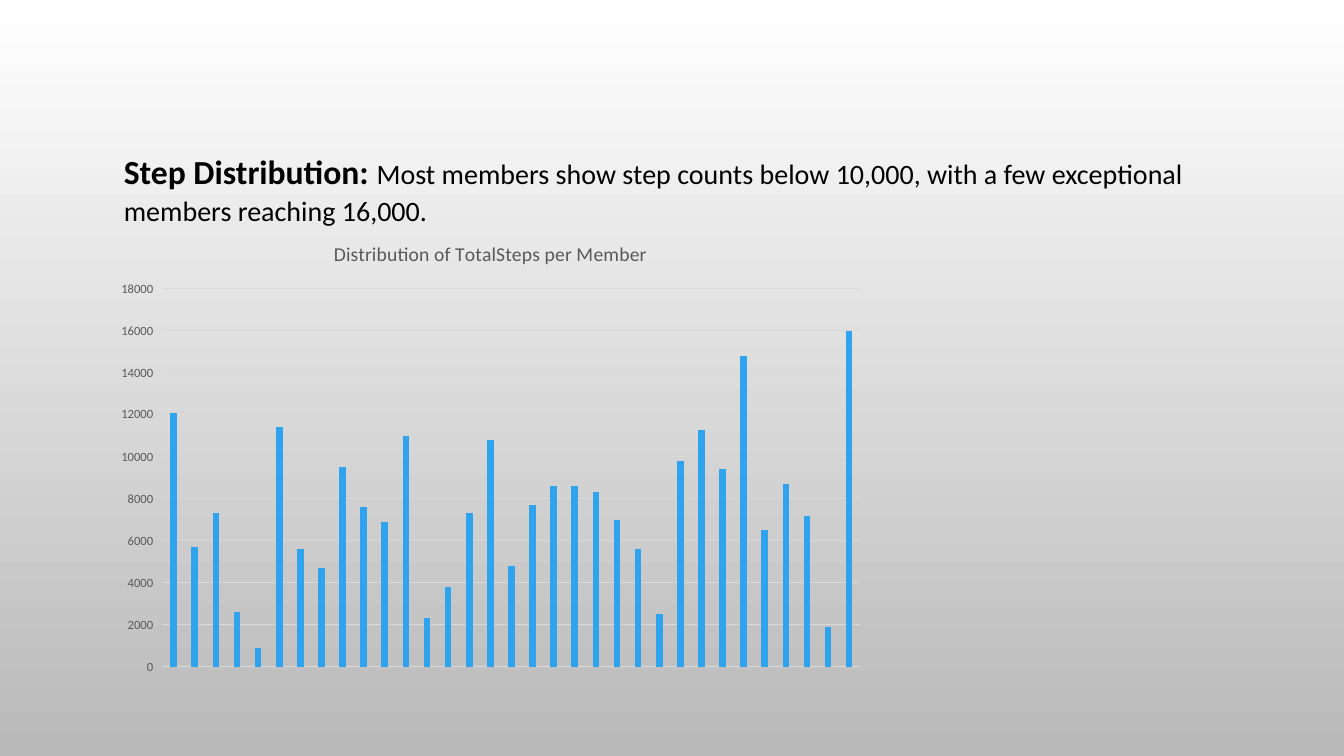
import pptx
import pptx.chart.data
import pptx.dml.color
import pptx.enum.chart
import pptx.enum.text
import pptx.util
from pptx.util import Inches, Pt

FONT = "Calibri"
STEPS = [
    12100, 5700, 7300, 2600, 900, 11400, 5600, 4700, 9500, 7600, 6900,
    11000, 2300, 3800, 7300, 10800, 4800, 7700, 8600, 8600, 8300, 7000,
    5600, 2500, 9800, 11300, 9400, 14800, 6500, 8700, 7200, 1900, 16000,
]


def rgb(hex_colour):
    return pptx.dml.color.RGBColor.from_string(hex_colour)


def style_font(font, size, colour, bold=False):
    font.name = FONT
    font.size = Pt(size)
    font.bold = bold
    font.color.rgb = rgb(colour)


def set_background(slide, top_colour, bottom_colour):
    fill = slide.background.fill
    fill.gradient()
    fill.gradient_angle = 270
    for stop, colour, position in zip(fill.gradient_stops, (top_colour, bottom_colour), (0, 1)):
        stop.color.rgb = rgb(colour)
        stop.position = position


def add_finding(slide, heading, statement):
    finding = slide.shapes.add_textbox(Inches(1.13), Inches(1.42), Inches(11.07), Inches(0.88))
    frame = finding.text_frame
    frame.word_wrap = True
    frame.auto_size = pptx.enum.text.MSO_AUTO_SIZE.SHAPE_TO_FIT_TEXT
    paragraph = frame.paragraphs[0]
    paragraph.line_spacing = 1.07
    paragraph.space_after = Pt(8)
    for text, size, bold in ((heading, 24, True), (statement, 20, False)):
        run = paragraph.add_run()
        run.text = text
        style_font(run.font, size, "000000", bold)


def style_axes(chart):
    chart.category_axis.visible = False
    step_axis = chart.value_axis
    step_axis.major_tick_mark = pptx.enum.chart.XL_TICK_MARK.CROSS
    step_axis.minor_tick_mark = pptx.enum.chart.XL_TICK_MARK.NONE
    step_axis.format.line.fill.background()
    step_axis.tick_labels.number_format = "0"
    step_axis.tick_labels.number_format_is_linked = False
    style_font(step_axis.tick_labels.font, 9, "595959")
    gridline = step_axis.major_gridlines.format.line
    gridline.color.rgb = rgb("D9D9D9")
    gridline.width = Pt(0.75)


def add_steps_chart(slide, title):
    steps_data = pptx.chart.data.CategoryChartData()
    steps_data.categories = [str(member) for member in range(1, len(STEPS) + 1)]
    steps_data.add_series("Series 1", STEPS)
    chart = slide.shapes.add_chart(
        pptx.enum.chart.XL_CHART_TYPE.COLUMN_CLUSTERED,
        Inches(1.05), Inches(2.2), Inches(7.63), Inches(4.58), steps_data,
    ).chart
    style_font(chart.font, 10, "000000")
    chart.has_legend = False
    chart.chart_title.text_frame.text = title
    chart.chart_title.include_in_layout = False
    style_font(chart.chart_title.text_frame.paragraphs[0].runs[0].font, 14, "595959")
    style_axes(chart)

    plot = chart.plots[0]
    plot.gap_width = 219
    plot.overlap = -27
    plot.vary_by_categories = False
    bars = plot.series[0].format.fill
    bars.solid()
    bars.fore_color.rgb = rgb("2FA3EE")


def main():
    presentation = pptx.Presentation()
    presentation.slide_width = Inches(13.33)
    presentation.slide_height = Inches(7.5)
    slide = presentation.slides.add_slide(presentation.slide_layouts[6])
    set_background(slide, "FFFFFF", "B9B9B9")
    add_finding(
        slide,
        "Step Distribution: ",
        "Most members show step counts below 10,000, "
        "with a few exceptional members reaching 16,000.",
    )
    add_steps_chart(slide, "Distribution of TotalSteps per Member")
    presentation.save("out.pptx")


if __name__ == "__main__":
    main()
